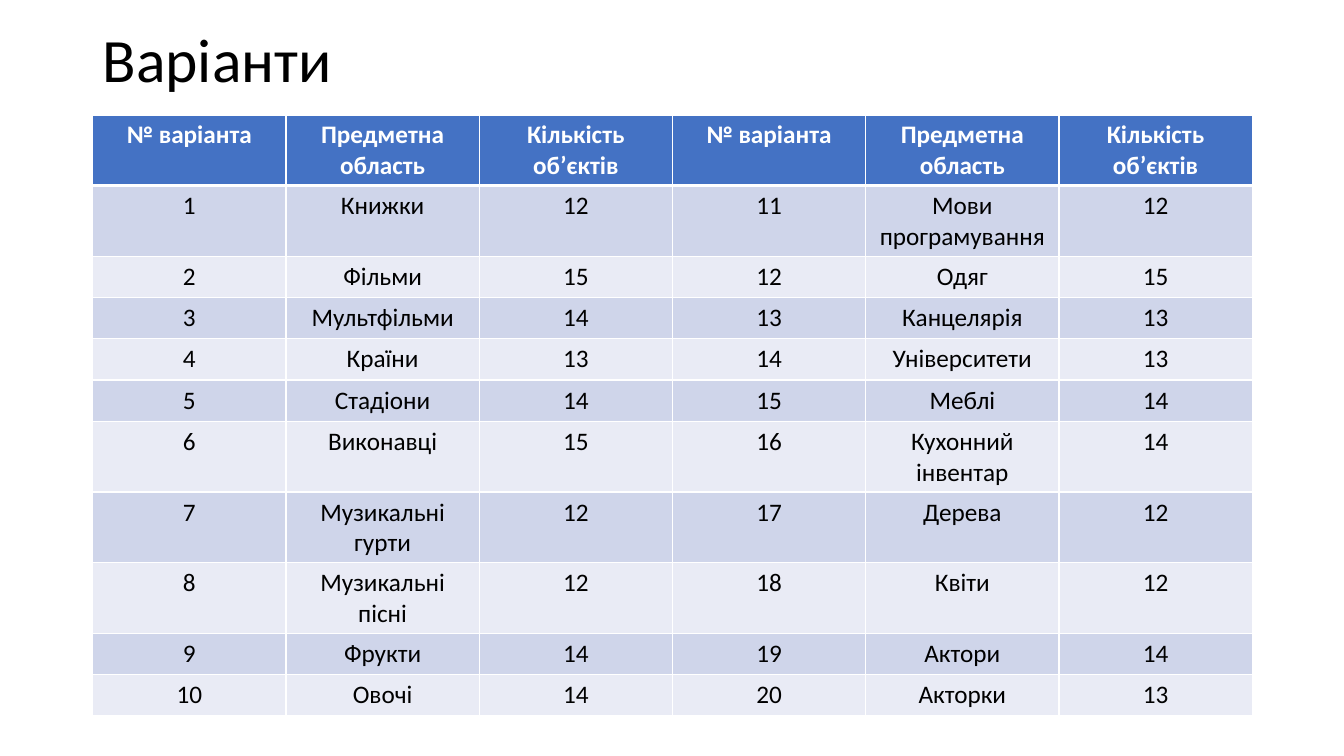
from dataclasses import dataclass

from lxml import etree
from pptx import Presentation
from pptx.dml.color import RGBColor
from pptx.enum import text
from pptx.oxml.ns import qn
from pptx.util import Inches, Pt

# Content
TITLE = "Варіанти"
HEADINGS = ("№ варіанта", "Предметна область", "Кількість об’єктів")
VARIANTS = [
    ("Книжки", 12), ("Фільми", 15), ("Мультфільми", 14), ("Країни", 13),
    ("Стадіони", 14), ("Виконавці", 15), ("Музикальні гурти", 12),
    ("Музикальні\nпісні", 12), ("Фрукти", 14), ("Овочі", 14),
    ("Мови програмування", 12), ("Одяг", 15), ("Канцелярія", 13),
    ("Університети", 13), ("Меблі", 14), ("Кухонний інвентар", 14),
    ("Дерева", 12), ("Квіти", 12), ("Актори", 14), ("Акторки", 13),
]


@dataclass(frozen=True)
class Theme:
    font: str = "Calibri"
    title_size: int = 44
    cell_size: int = 18
    ink: str = "000000"
    white: str = "FFFFFF"
    header: str = "4472C4"
    bands: tuple = ("CFD5EA", "E9EBF5")


THEME = Theme()
LEFT, WIDTH = 0.92, 11.5
TABLE_TOP, TABLE_HEIGHT, ROW_HEIGHT = 1.14, 5.93, 0.41


def write(tf, content, size, color=THEME.ink, bold=False, align=None, spacing=None):
    for i, line in enumerate(content.split("\n")):
        p = tf.add_paragraph() if i else tf.paragraphs[0]
        p.alignment, p.line_spacing = align, spacing
        r = p.add_run()
        r.text = line
        r.font.name, r.font.size, r.font.bold = THEME.font, Pt(size), bold
        r.font.color.rgb = RGBColor.from_string(color)


def set_borders(cell, bottom=1, top=1):
    props = cell._tc.get_or_add_tcPr()
    sides = (("a:lnL", 1), ("a:lnR", 1), ("a:lnT", top), ("a:lnB", bottom))
    for i, (side, width) in enumerate(sides):
        line = etree.Element(qn(side), w=str(Pt(width)))
        fill = etree.SubElement(line, qn("a:solidFill"))
        etree.SubElement(fill, qn("a:srgbClr"), val=THEME.white)
        props.insert(i, line)


def main():
    prs = Presentation()
    prs.slide_width, prs.slide_height = Inches(13.33), Inches(7.5)
    slide = prs.slides.add_slide(prs.slide_layouts[6])

    # Title
    sp = slide.shapes.add_textbox(Inches(LEFT), 0, Inches(WIDTH), Inches(1.25))
    tf = sp.text_frame
    tf.word_wrap = True
    tf.vertical_anchor = text.MSO_ANCHOR.MIDDLE
    write(tf, TITLE, THEME.title_size, spacing=0.9)

    # Two halves of the numbered variants side by side
    numbered = [(n, *v) for n, v in enumerate(VARIANTS, 1)]
    half = len(numbered) // 2
    rows = [HEADINGS * 2]
    rows += [a + b for a, b in zip(numbered[:half], numbered[half:])]

    # Table
    frame = slide.shapes.add_table(
        len(rows), len(rows[0]), Inches(LEFT), Inches(TABLE_TOP),
        Inches(WIDTH), Inches(TABLE_HEIGHT))
    table = frame.table
    for y, row in enumerate(rows):
        table.rows[y].height = Inches(ROW_HEIGHT)
        is_header = y == 0
        fill = THEME.header if is_header else THEME.bands[(y - 1) % 2]
        for x, value in enumerate(row):
            cell = table.cell(y, x)
            cell.fill.solid()
            cell.fill.fore_color.rgb = RGBColor.from_string(fill)
            set_borders(cell, bottom=3 if is_header else 1, top=3 if y == 1 else 1)
            write(cell.text_frame, str(value), THEME.cell_size,
                  color=THEME.white if is_header else THEME.ink,
                  bold=is_header, align=text.PP_ALIGN.CENTER)
    frame.height = Inches(TABLE_HEIGHT)

    prs.save("out.pptx")


if __name__ == "__main__":
    main()
